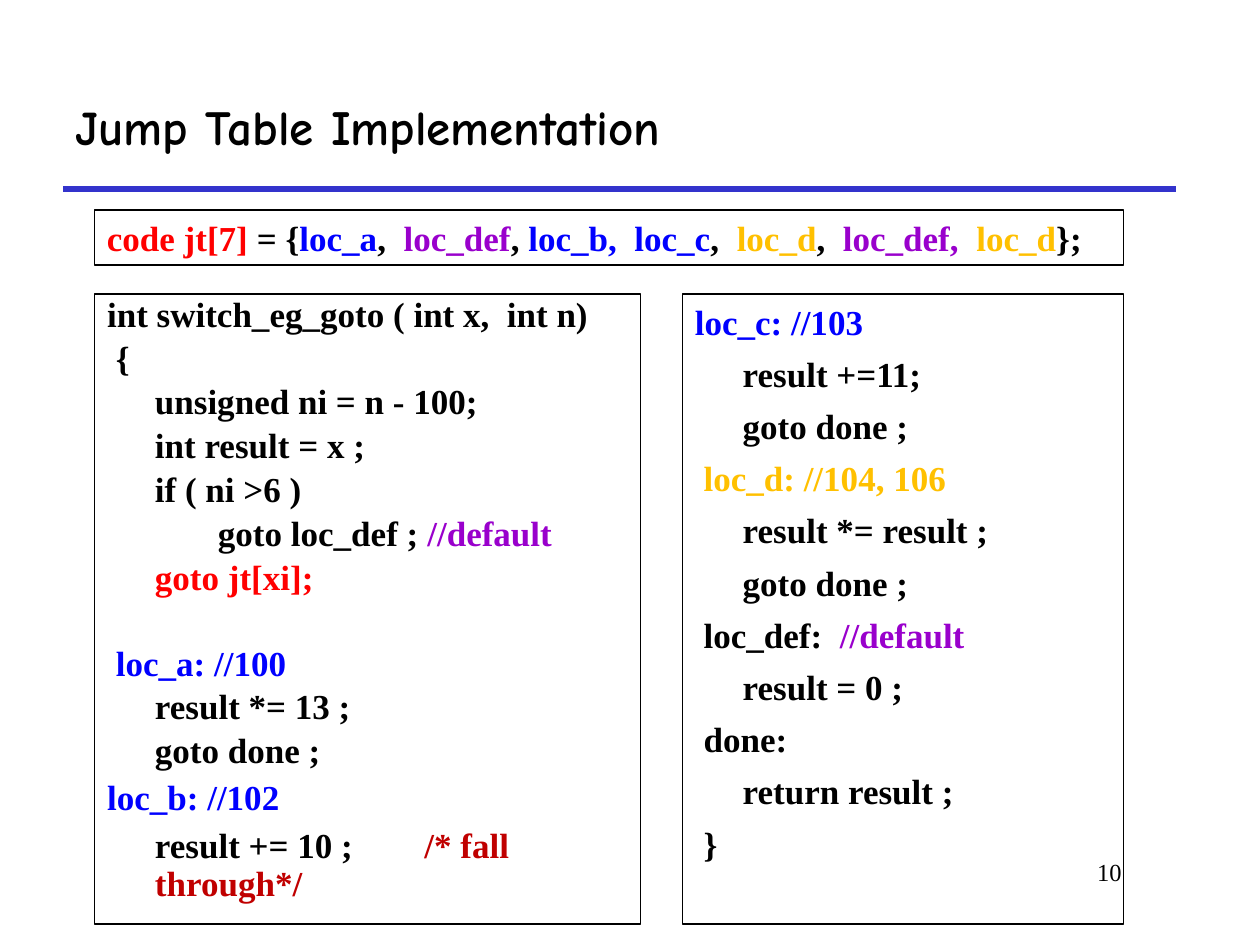
from lxml.etree import SubElement
from pptx import Presentation
from pptx.dml.color import RGBColor
from pptx.enum.shapes import MSO_CONNECTOR, MSO_SHAPE
from pptx.enum.text import MSO_ANCHOR, MSO_AUTO_SIZE, PP_ALIGN
from pptx.oxml.ns import qn
from pptx.util import Inches, Pt

BLACK, RED, BLUE = "000000", "FF0000", "0000FF"
PURPLE, GOLD, BRICK, RULE = "9900CC", "FFC000", "C00000", "3333CC"
SERIF, COMIC = "Times New Roman", "Comic Neue"


def tint(code):
    return RGBColor.from_string(code)


class Deck:
    """Holds the style and current slide, placed on a 120 by 90 grid."""

    def __init__(self):
        self.prs = Presentation()
        self.prs.slide_width, self.prs.slide_height = Inches(10), Inches(7.5)
        self.slide = self.prs.slides.add_slide(self.prs.slide_layouts[1])

    def unit(self, count):
        return round(self.prs.slide_width * count / 120)

    def place(self, shape, spot):
        shape.left, shape.top, shape.width, shape.height = map(self.unit, spot)

    def letter(self, para, runs, size=20, face=SERIF, bold=True):
        for text, color in runs:
            run = para.add_run()
            run.text = text
            font = run.font
            font.size, font.name, font.bold = Pt(size), face, bold
            font.color.rgb = tint(color)

    def title(self, text, spot):
        shape = self.slide.shapes.title
        self.place(shape, spot)
        frame = shape.text_frame
        frame.vertical_anchor = MSO_ANCHOR.MIDDLE
        frame.auto_size = MSO_AUTO_SIZE.NONE
        para = frame.paragraphs[0]
        para.alignment = PP_ALIGN.LEFT
        self.letter(para, [(text, BLACK)], 28, COMIC)

    def rule(self, left, right, row):
        x, end, y = map(self.unit, (left, right, row))
        line = self.slide.shapes.add_connector(MSO_CONNECTOR.STRAIGHT, x, y, end, y)
        line.line.color.rgb, line.line.width = tint(RULE), Pt(3)
        SubElement(line._element.spPr, qn("a:effectLst"))

    def number(self, text, spot):
        box = self.slide.shapes.add_textbox(*map(self.unit, spot))
        box.text_frame.word_wrap = True
        para = box.text_frame.paragraphs[0]
        para.alignment = PP_ALIGN.RIGHT
        self.letter(para, [(text, BLACK)], 14, bold=False)

    def panel(self, spot):
        shape = self.slide.shapes.add_shape(MSO_SHAPE.RECTANGLE, *map(self.unit, spot))
        shape.shadow.inherit = False
        return shape

    def body(self, spot):
        shape = self.slide.placeholders[1]
        self.place(shape, spot)
        return shape

    def code(self, shape, lines, space=1.0, wide=(), gaps=(), anchor=MSO_ANCHOR.TOP):
        shape.fill.background()
        shape.line.color.rgb, shape.line.width = tint(BLACK), Pt(0.75)
        frame = shape.text_frame
        frame.word_wrap, frame.auto_size = True, MSO_AUTO_SIZE.NONE
        frame.vertical_anchor = anchor
        for row, runs in enumerate(lines):
            para = frame.add_paragraph() if row else frame.paragraphs[0]
            para.alignment = PP_ALIGN.LEFT
            self.indent(para)
            para.line_spacing = 0.9 if row in wide else space
            para.space_before = Pt(30 if row in gaps else 5.8 if row else 0)
            self.letter(para, runs)

    def indent(self, para):
        props = para._p.get_or_add_pPr()
        props.set("marL", str(Inches(0.38)))
        props.set("indent", str(-Inches(0.38)))
        SubElement(props, qn("a:buNone"))
        stops = SubElement(props, qn("a:tabLst"))
        for inch in range(8):
            SubElement(stops, qn("a:tab"), pos=str(Inches(inch)), algn="l")


def main():
    deck = Deck()
    deck.rule(6, 112, 18)
    deck.number("10", (91, 81, 17, 6))
    deck.title("Jump Table Implementation", (6, 6, 106, 12))
    deck.code(deck.body((9, 28, 52, 60)), [
        [("int switch_eg_goto ( int x,  int n)", BLACK)],
        [(" {", BLACK)],
        [("\tunsigned ni = n - 100;", BLACK)],
        [("\tint result = x ;", BLACK)],
        [("\tif ( ni >6 )", BLACK)],
        [("\t\tgoto loc_def ; ", BLACK), ("//default", PURPLE)],
        [("\t", BLACK), ("goto jt[xi];", RED)],
        [(" loc_a: //100", BLUE)],
        [("\tresult *= 13 ;", BLACK)],
        [("\tgoto done ;", BLACK)],
        [("loc_b: //102", BLUE)],
        [("\tresult += 10 ;\t  ", BLACK), ("/* fall through*/", BRICK)],
    ], space=0.8, wide=(10, 11), gaps=(7,))
    deck.code(deck.panel((65, 28, 42, 60)), [
        [("loc_c: //103", BLUE)],
        [("\tresult +=11;", BLACK)],
        [(" \tgoto done ;", BLACK)],
        [(" loc_d: //104, 106", GOLD)],
        [("\tresult *= result ;", BLACK)],
        [("\tgoto done ;", BLACK)],
        [(" loc_def:  ", BLACK), ("//default", PURPLE)],
        [("\tresult = 0 ;", BLACK)],
        [(" done:", BLACK)],
        [("\treturn result ;", BLACK)],
        [(" }", BLACK)],
    ])
    deck.code(deck.panel((9, 20, 98, 5.25)), [[
        ("code jt[7] ", RED), ("= {", BLACK), ("loc_a", BLUE), (",  ", BLACK),
        ("loc_def", PURPLE), (", ", BLACK), ("loc_b,  loc_c", BLUE),
        (",  ", BLACK), ("loc_d", GOLD), (",  ", BLACK),
        ("loc_def,  ", PURPLE), ("loc_d", GOLD), ("};", BLACK),
    ]], anchor=MSO_ANCHOR.MIDDLE)
    deck.prs.save("out.pptx")


if __name__ == "__main__":
    main()
